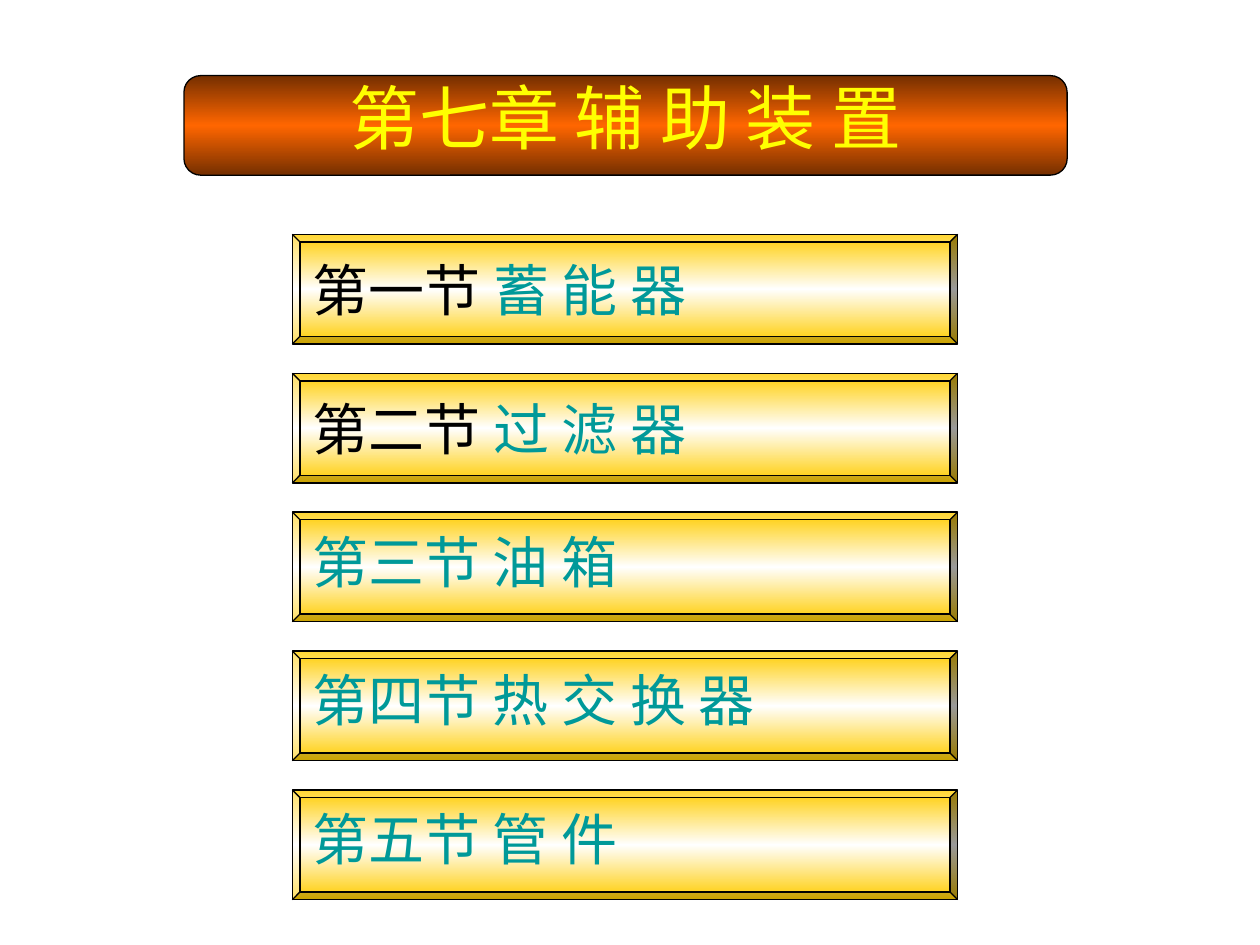
from copy import deepcopy

from lxml import etree
from pptx import Presentation
from pptx.dml.color import RGBColor
from pptx.enum.shapes import MSO_SHAPE
from pptx.enum.text import MSO_ANCHOR, PP_ALIGN
from pptx.oxml.ns import qn
from pptx.util import Inches, Pt

ROUNDED, BEVEL = MSO_SHAPE.ROUNDED_RECTANGLE, MSO_SHAPE.BEVEL
MIDDLE = MSO_ANCHOR.MIDDLE
LEFT, CENTER = PP_ALIGN.LEFT, PP_ALIGN.CENTER

THEME = {
    "banner": ("752F00", "FF6600", "752F00"),
    "bar": ("FFCC00", "FFFFFF", "FFCC00"),
    "line": "000000",
    "title": "FFFF00",
    "dark": "000000",
    "teal": "009999",
    "title_size": 40,
    "section_size": 32,
    "latin": "Arial",
    "cjk": "Noto Sans CJK SC",
}

prs = Presentation()
prs.slide_width, prs.slide_height = Inches(10), Inches(7.5)
s = prs.slides.add_slide(prs.slide_layouts[6])


def add_panel(kind, box, adjust, colors):
    """Outlined shape with a vertical three-stop gradient."""
    sp = s.shapes.add_shape(kind, *(Inches(v) for v in box))
    sp.adjustments[0] = adjust
    sp.shadow.inherit = False
    sp.line.color.rgb = RGBColor.from_string(THEME["line"])
    sp.line.width = Pt(0.75)
    sp.fill.gradient()
    sp.fill.gradient_angle = 270
    stop_list = sp.element.spPr.find(".//" + qn("a:gsLst"))
    stop_list.append(deepcopy(stop_list[0]))
    for stop, color, position in zip(sp.fill.gradient_stops, colors, (0, 0.5, 1)):
        stop.color.rgb = RGBColor.from_string(color)
        stop.position = position
    return sp


def write_line(sp, runs, size, font, align, spacing):
    """One line of coloured runs, centred vertically."""
    tf = sp.text_frame
    tf.word_wrap = True
    tf.vertical_anchor = MIDDLE
    p = tf.paragraphs[0]
    p.alignment = align
    p.line_spacing = spacing
    for text, color in runs:
        r = p.add_run()
        r.text = text
        r.font.size = Pt(size)
        r.font.name = font
        r.font.color.rgb = RGBColor.from_string(THEME[color])
        etree.SubElement(r.font._element, qn("a:ea"), typeface=THEME["cjk"])


# Chapter banner
banner = add_panel(ROUNDED, (1.46, 0.6, 7.01, 0.79), 0.167, THEME["banner"])
write_line(banner, [("第七章 辅 助 装 置", "title")],
           THEME["title_size"], THEME["latin"], CENTER, 0.75)

# Section bars, one per row
BAR_LEFT, BAR_TOP, BAR_W, BAR_H, PITCH = 2.32, 1.86, 5.28, 0.87, 1.1025
sections = [
    (1.0, [("第一节 ", "dark"), ("蓄 能 器", "teal")]),
    (1.0, [("第二节 ", "dark"), ("过 滤 器", "teal")]),
    (0.8, [("第三节 油 箱", "teal")]),
    (0.8, [("第四节 热 交 换 器", "teal")]),
    (0.8, [("第五节 管 件", "teal")]),
]
for row, (spacing, runs) in enumerate(sections):
    box = (BAR_LEFT, BAR_TOP + row * PITCH, BAR_W, BAR_H)
    bar = add_panel(BEVEL, box, 0.07, THEME["bar"])
    write_line(bar, runs, THEME["section_size"], THEME["cjk"], LEFT, spacing)

prs.save("out.pptx")
